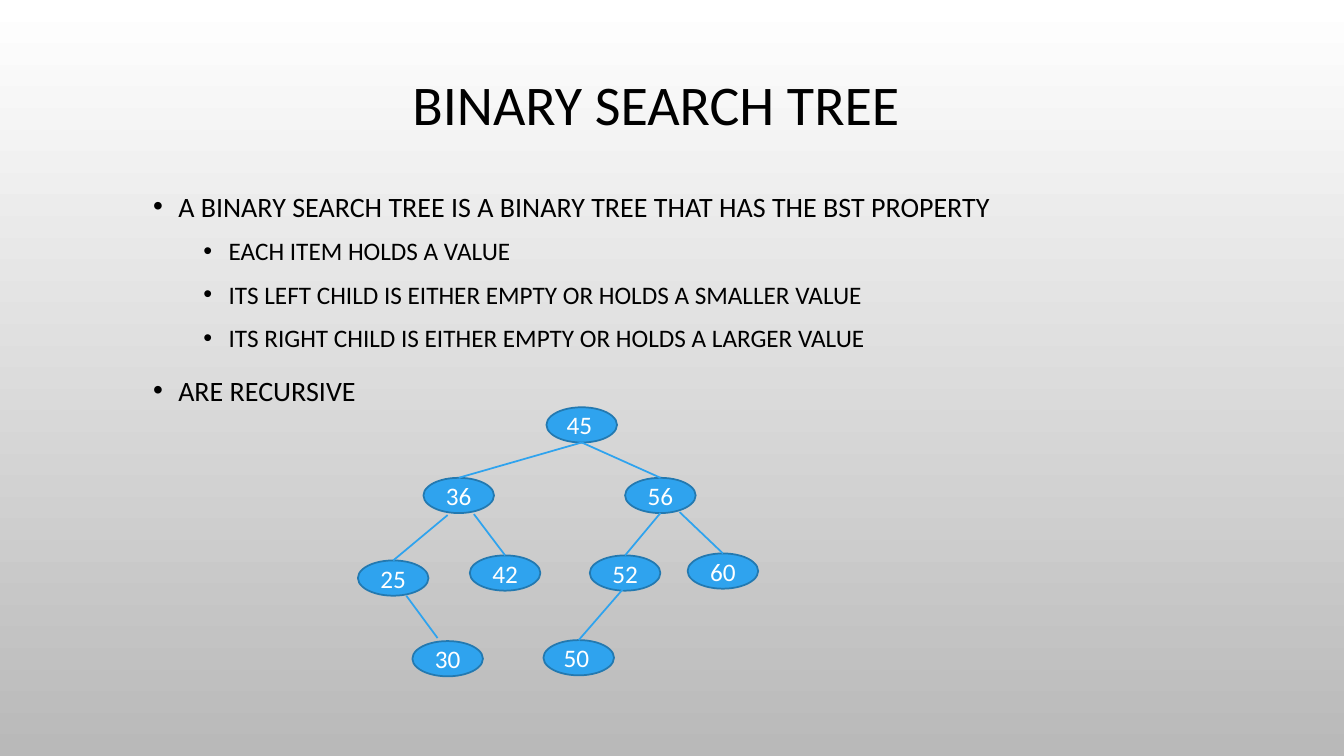
import pptx
import pptx.util
import pptx.dml.color
import pptx.enum.shapes
import pptx.enum.text
import pptx.oxml.ns
import lxml.etree
from dataclasses import dataclass

Inches = pptx.util.Inches
Pt = pptx.util.Pt
ALIGN = pptx.enum.text.PP_ALIGN
ANCHOR = pptx.enum.text.MSO_ANCHOR


def rgb(value):
    return pptx.dml.color.RGBColor.from_string(value)


@dataclass(frozen=True)
class Theme:
    font: str = "Calibri"
    text: str = "000000"
    node_text: str = "FFFFFF"
    node_fill: str = "2FA3EE"
    node_line: str = "2379B0"
    background: tuple = ("FFFFFF", "B9B9B9")
    title_size: int = 40
    bullet_sizes: tuple = (20, 18)
    bullet_spacing: tuple = (10, 5)
    node_size: int = 18
    line_width: float = 1.25


NODE_WIDTH, NODE_HEIGHT = 0.7, 0.35

BULLETS = [
    (0, "A BINARY SEARCH TREE IS A BINARY TREE THAT HAS THE BST PROPERTY"),
    (1, "EACH ITEM HOLDS A VALUE"),
    (1, "ITS LEFT CHILD IS EITHER EMPTY OR HOLDS A SMALLER VALUE"),
    (1, "ITS RIGHT CHILD IS EITHER EMPTY OR HOLDS A LARGER VALUE"),
    (0, "ARE RECURSIVE"),
]

NODES = {
    45: (5.42, 4.04),
    36: (4.2, 4.74),
    56: (6.2, 4.74),
    25: (3.55, 5.56),
    42: (4.66, 5.51),
    52: (5.85, 5.51),
    60: (6.82, 5.49),
    30: (4.09, 6.36),
    50: (5.39, 6.35),
}
LEFT_ALIGNED = {45, 50}

EDGES = [
    (45, 36, (0, 0), (0, 0)),
    (45, 56, (0, 0), (0, 0)),
    (36, 25, (-0.11, 0.02), (0, 0)),
    (36, 42, (0.15, 0.01), (0, 0)),
    (56, 52, (0, 0), (0, 0)),
    (56, 60, (0.19, -0.01), (0, 0)),
    (25, 30, (0.13, 0), (-0.1, -0.03)),
    (52, 50, (0, -0.04), (0, 0)),
]


class SlideBuilder:
    def __init__(self, slide, theme):
        self.slide = slide
        self.theme = theme

    def background(self):
        fill = self.slide.background.fill
        fill.gradient()
        fill.gradient_angle = 270
        for position, (stop, color) in enumerate(zip(fill.gradient_stops, self.theme.background)):
            stop.position = position
            stop.color.rgb = rgb(color)

    def format_runs(self, paragraph, size, color):
        for run in paragraph.runs:
            run.font.name = self.theme.font
            run.font.size = Pt(size)
            run.font.color.rgb = rgb(color)

    def text_box(self, left, top, width, height, anchor):
        box = self.slide.shapes.add_textbox(Inches(left), Inches(top), Inches(width), Inches(height))
        box.text_frame.word_wrap = True
        box.text_frame.vertical_anchor = anchor
        return box.text_frame

    def title(self, text):
        text_frame = self.text_box(0.84, 0.19, 11.33, 1.75, ANCHOR.MIDDLE)
        text_frame.text = text
        paragraph = text_frame.paragraphs[0]
        paragraph.alignment = ALIGN.CENTER
        paragraph.line_spacing = 0.9
        self.format_runs(paragraph, self.theme.title_size, self.theme.text)

    def bullets(self, items):
        text_frame = self.text_box(1.42, 1.76, 11.33, 3.74, ANCHOR.TOP)
        text_frame.text = "\n".join(text for level, text in items)
        for paragraph, (level, text) in zip(text_frame.paragraphs, items):
            paragraph.level = level
            paragraph.line_spacing = 1.2
            paragraph.space_before = Pt(self.theme.bullet_spacing[level])
            self.format_runs(paragraph, self.theme.bullet_sizes[level], self.theme.text)
            self.bullet_mark(paragraph, 0.25 + 0.5 * level)

    def bullet_mark(self, paragraph, indent):
        qn = pptx.oxml.ns.qn
        properties = paragraph._p.get_or_add_pPr()
        properties.set("marL", str(Inches(indent)))
        properties.set("indent", str(Inches(-0.25)))
        color = lxml.etree.SubElement(properties, qn("a:buClr"))
        lxml.etree.SubElement(color, qn("a:srgbClr"), val=self.theme.text)
        lxml.etree.SubElement(properties, qn("a:buFont"), typeface="Arial")
        lxml.etree.SubElement(properties, qn("a:buChar"), char="•")

    def node(self, value, left, top, alignment):
        shape = self.slide.shapes.add_shape(
            pptx.enum.shapes.MSO_SHAPE.OVAL,
            Inches(left), Inches(top), Inches(NODE_WIDTH), Inches(NODE_HEIGHT))
        shape.shadow.inherit = False
        shape.fill.solid()
        shape.fill.fore_color.rgb = rgb(self.theme.node_fill)
        shape.line.color.rgb = rgb(self.theme.node_line)
        shape.line.width = Pt(self.theme.line_width)
        shape.text_frame.text = str(value)
        shape.text_frame.vertical_anchor = ANCHOR.MIDDLE
        paragraph = shape.text_frame.paragraphs[0]
        paragraph.alignment = alignment
        self.format_runs(paragraph, self.theme.node_size, self.theme.node_text)

    def edge(self, parent, child, start_shift, end_shift):
        start_x = parent[0] + NODE_WIDTH / 2 + start_shift[0]
        start_y = parent[1] + NODE_HEIGHT + start_shift[1]
        end_x = child[0] + NODE_WIDTH / 2 + end_shift[0]
        end_y = child[1] + end_shift[1]
        connector = self.slide.shapes.add_connector(
            pptx.enum.shapes.MSO_CONNECTOR.STRAIGHT,
            Inches(start_x), Inches(start_y), Inches(end_x), Inches(end_y))
        connector.line.color.rgb = rgb(self.theme.node_fill)
        connector.line.width = Pt(self.theme.line_width)
        lxml.etree.SubElement(connector._element.spPr, pptx.oxml.ns.qn("a:effectLst"))


def main():
    presentation = pptx.Presentation()
    presentation.slide_width = Inches(13.33)
    presentation.slide_height = Inches(7.5)
    slide = presentation.slides.add_slide(presentation.slide_layouts[6])
    builder = SlideBuilder(slide, Theme())
    builder.background()
    builder.title("BINARY SEARCH TREE")
    builder.bullets(BULLETS)
    for value, (left, top) in NODES.items():
        builder.node(value, left, top, ALIGN.LEFT if value in LEFT_ALIGNED else ALIGN.CENTER)
    for parent, child, start_shift, end_shift in EDGES:
        builder.edge(NODES[parent], NODES[child], start_shift, end_shift)
    presentation.save("out.pptx")


if __name__ == "__main__":
    main()
